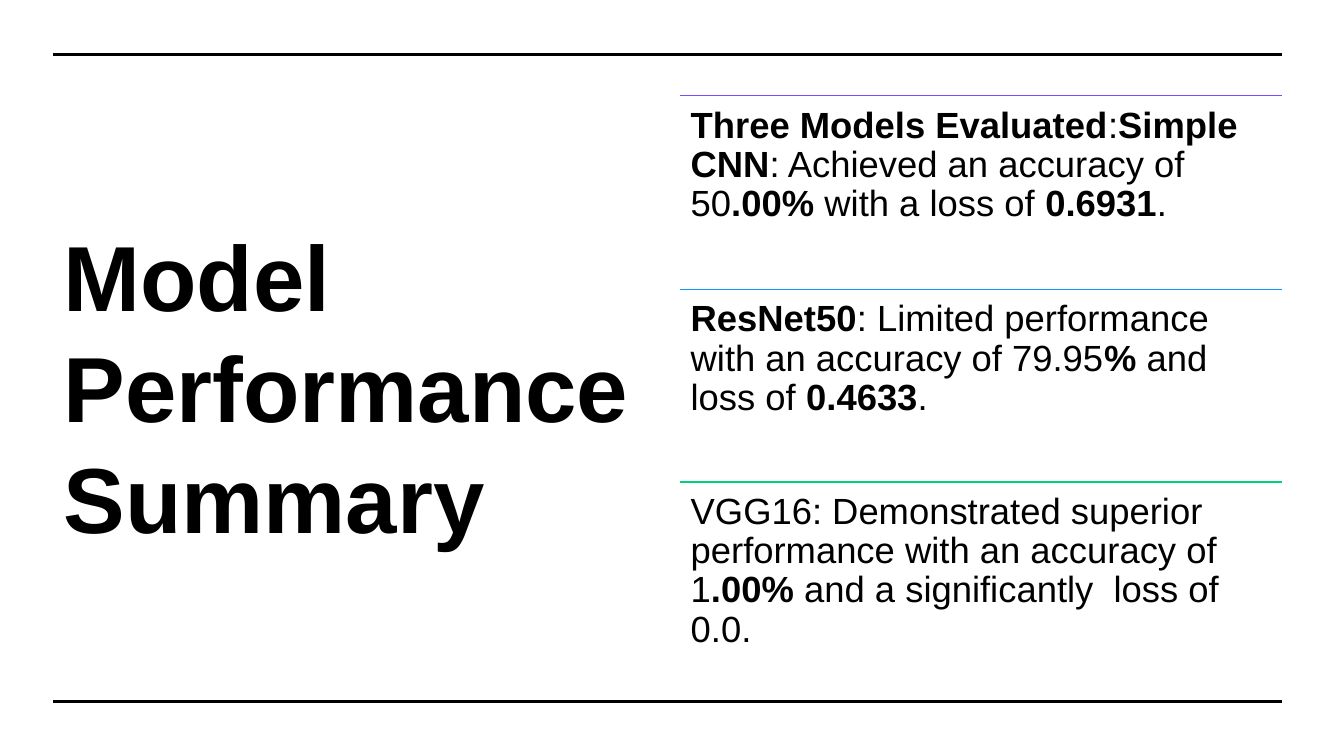
from lxml.etree import SubElement
from pptx import Presentation
from pptx.dml.color import RGBColor
from pptx.enum.shapes import MSO_CONNECTOR as Connector
from pptx.enum.text import MSO_ANCHOR as Anchor, MSO_AUTO_SIZE as AutoSize, PP_ALIGN as Align
from pptx.oxml.ns import qn
from pptx.util import Pt

PX = 9144  # EMU per px, 100 px to the inch
FONT = "Arial"
BLACK = RGBColor(0x00, 0x00, 0x00)
WHITE = RGBColor(0xFF, 0xFF, 0xFF)
PURPLE = RGBColor(0x79, 0x4D, 0xFF)
BLUE = RGBColor(0x0F, 0x9A, 0xFF)
GREEN = RGBColor(0x00, 0xD1, 0x7D)

# Each model: rule colour, then (text, bold) spans
MODELS = [
    (PURPLE, [("Three Models Evaluated", True), (":", False), ("Simple CNN", True),
              (": Achieved an accuracy of 50", False), (".00%", True),
              (" with a loss of ", False), ("0.6931", True), (".", False)]),
    (BLUE, [("ResNet50", True), (": Limited performance with an accuracy of 79.95", False),
            ("%", True), (" and loss of ", False), ("0.4633", True), (".", False)]),
    (GREEN, [("VGG16: Demonstrated superior performance with an accuracy of 1", False),
             (".00%", True), (" and a significantly  loss of 0.0.", False)]),
]


def add_rule(page, left, top, width, color, weight):
    rule = page.shapes.add_connector(
        Connector.STRAIGHT, left * PX, top * PX, (left + width) * PX, top * PX)
    rule.line.color.rgb = color
    rule.line.width = Pt(weight)
    SubElement(rule._element.spPr, qn("a:effectLst"))


def style_font(font, size):
    font.name = FONT
    font.size = Pt(size)
    font.color.rgb = BLACK


def place_title(page, left, top, width, height):
    title = page.shapes.title
    title.left, title.top = left * PX, top * PX
    title.width, title.height = width * PX, height * PX
    frame = title.text_frame
    frame.text = "Model Performance Summary"
    frame.word_wrap = True
    frame.auto_size = AutoSize.NONE
    frame.vertical_anchor = Anchor.MIDDLE
    para = frame.paragraphs[0]
    para.alignment = Align.LEFT
    style_font(para.font, 66)
    para.font.bold = True


def add_model(page, left, top, width, height, color, spans):
    add_rule(page, left, top, width, color, 1)
    box = page.shapes.add_textbox(left * PX, top * PX, width * PX, height * PX)
    frame = box.text_frame
    frame.word_wrap = True
    frame.margin_left = frame.margin_right = 11 * PX
    frame.margin_top = frame.margin_bottom = 11 * PX
    para = frame.paragraphs[0]
    para.line_spacing = 0.9
    style_font(para.font, 26)
    for text, bold in spans:
        span = para.add_run()
        span.text = text
        span.font.bold = bold


def add_model_list(page, left, top, width, height):
    for index, (color, spans) in enumerate(MODELS):
        row_top = top + round(index * height / len(MODELS))
        add_model(page, left, row_top, width, height // len(MODELS), color, spans)


def build_summary(deck):
    page = deck.slides.add_slide(deck.slide_layouts[5])
    page.background.fill.solid()
    page.background.fill.fore_color.rgb = WHITE
    place_title(page, 53, 95, 614, 575)
    # Frame rules above and below the content
    for top in (54, 696):
        add_rule(page, 53, top, 1219, BLACK, 2.25)
    add_model_list(page, 674, 95, 598, 575)


def main():
    deck = Presentation()
    deck.slide_width, deck.slide_height = 1333 * PX, 750 * PX
    build_summary(deck)
    deck.save("out.pptx")


if __name__ == "__main__":
    main()
